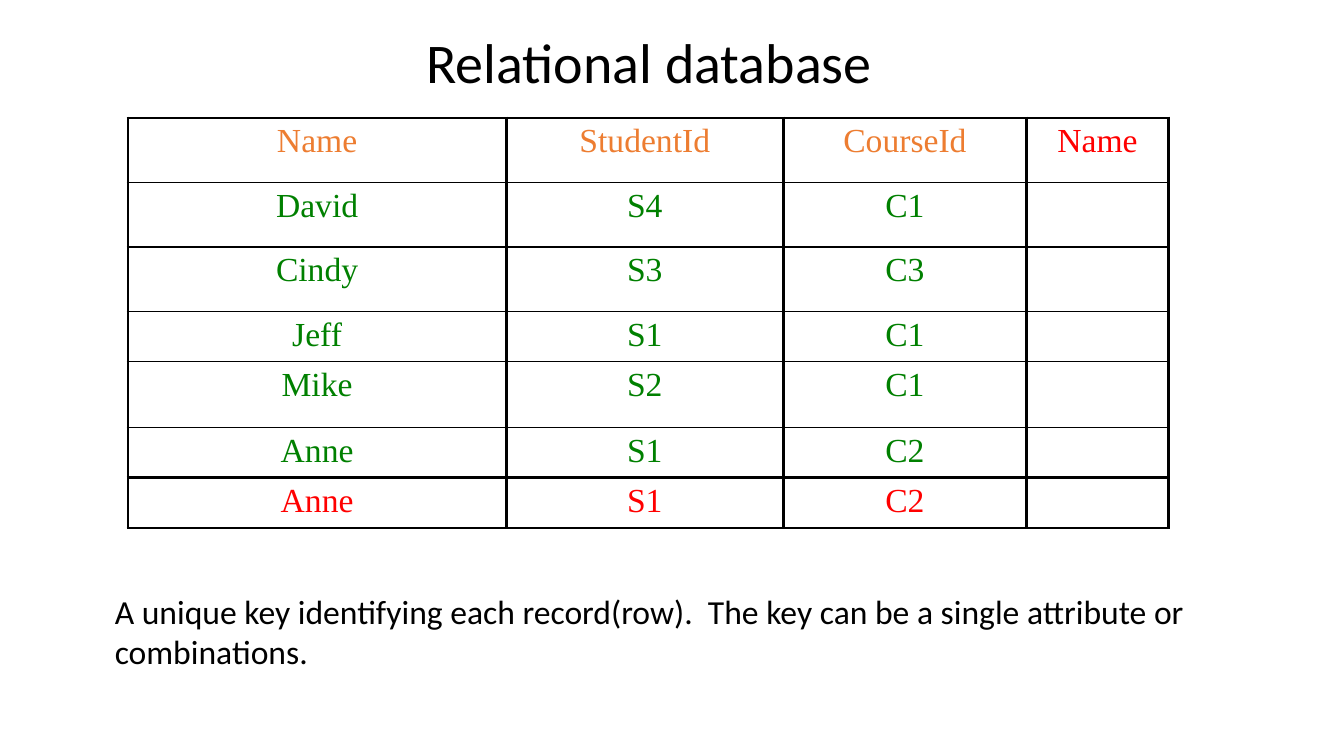
from pptx import Presentation
from pptx.dml.color import RGBColor
from pptx.enum.text import MSO_ANCHOR, PP_ALIGN
from pptx.oxml import parse_xml
from pptx.oxml.ns import nsdecls
from pptx.util import Inches, Pt

TITLE = "Relational database"
CAPTION = ("A unique key identifying each record(row).  "
           "The key can be a single attribute or combinations.")
HEADER = ("Name", "StudentId", "CourseId", "Name")
RECORDS = [
    ("David", "S4", "C1", ""),
    ("Cindy", "S3", "C3", ""),
    ("Jeff", "S1", "C1", ""),
    ("Mike", "S2", "C1", ""),
    ("Anne", "S1", "C2", ""),
    ("Anne", "S1", "C2", ""),
]
COLORS = {"ink": "000000", "header": "ED7D31", "record": "008000", "alert": "FF0000"}
COLUMN_WIDTHS = (3.75, 2.75, 2.41, 1.41)
ROW_HEIGHTS = (0.64, 0.64, 0.64, 0.5, 0.65, 0.5, 0.5)
THICK, THIN = 2.25, 1


def add_span(para, text, font, size, color):
    span = para.add_run()
    span.text = text
    span.font.name = font
    span.font.size = Pt(size)
    span.font.color.rgb = RGBColor.from_string(COLORS[color])


def set_borders(cell, top, bottom):
    """Draw thick sides, and a top and bottom of the given widths in points."""
    properties = cell._tc.get_or_add_tcPr()
    widths = {"lnL": THICK, "lnR": THICK, "lnT": top, "lnB": bottom}
    for position, (tag, width) in enumerate(widths.items()):
        properties.insert(position, parse_xml(
            f'<a:{tag} {nsdecls("a")} w="{Pt(width)}"><a:solidFill>'
            f'<a:srgbClr val="{COLORS["ink"]}"/></a:solidFill></a:{tag}>'))


def text_color(row, column):
    last_row, last_column = len(RECORDS), len(HEADER) - 1
    if row == last_row or (row == 0 and column == last_column):
        return "alert"
    return "record" if row else "header"


def add_title(page):
    title = page.shapes.title
    title.left, title.top = Inches(4.13), Inches(0.22)
    title.width, title.height = Inches(4.79), Inches(0.77)
    frame = title.text_frame
    frame.word_wrap = False
    frame.vertical_anchor = MSO_ANCHOR.TOP
    para = frame.paragraphs[0]
    para.alignment = PP_ALIGN.LEFT
    add_span(para, TITLE, "Calibri", 40, "ink")


def add_records(page):
    rows = [HEADER] + RECORDS
    table = page.shapes.add_table(
        len(rows), len(HEADER), Inches(1.27), Inches(1.17),
        Inches(sum(COLUMN_WIDTHS)), Inches(sum(ROW_HEIGHTS))).table
    table.first_row = table.horz_banding = False
    for column, width in zip(table.columns, COLUMN_WIDTHS):
        column.width = Inches(width)
    for row, height in zip(table.rows, ROW_HEIGHTS):
        row.height = Inches(height)

    # Rules above and below each row: the last record is boxed in thick lines.
    rules = [THICK] + [THIN] * (len(rows) - 2) + [THICK, THICK]
    for r, texts in enumerate(rows):
        for c, text in enumerate(texts):
            cell = table.cell(r, c)
            cell.fill.background()
            set_borders(cell, rules[r], rules[r + 1])
            para = cell.text_frame.paragraphs[0]
            para.alignment = PP_ALIGN.CENTER
            if text:
                add_span(para, text, "Times New Roman", 24, text_color(r, c))


def add_caption(page):
    box = page.shapes.add_textbox(Inches(1.04), Inches(5.81), Inches(12.12), Inches(1.31))
    box.text_frame.word_wrap = True
    add_span(box.text_frame.paragraphs[0], CAPTION, "Calibri", 24, "ink")


def main():
    deck = Presentation()
    deck.slide_width, deck.slide_height = Inches(13.33), Inches(7.5)
    page = deck.slides.add_slide(deck.slide_layouts[5])
    add_title(page)
    add_records(page)
    add_caption(page)
    deck.save("out.pptx")


if __name__ == "__main__":
    main()
